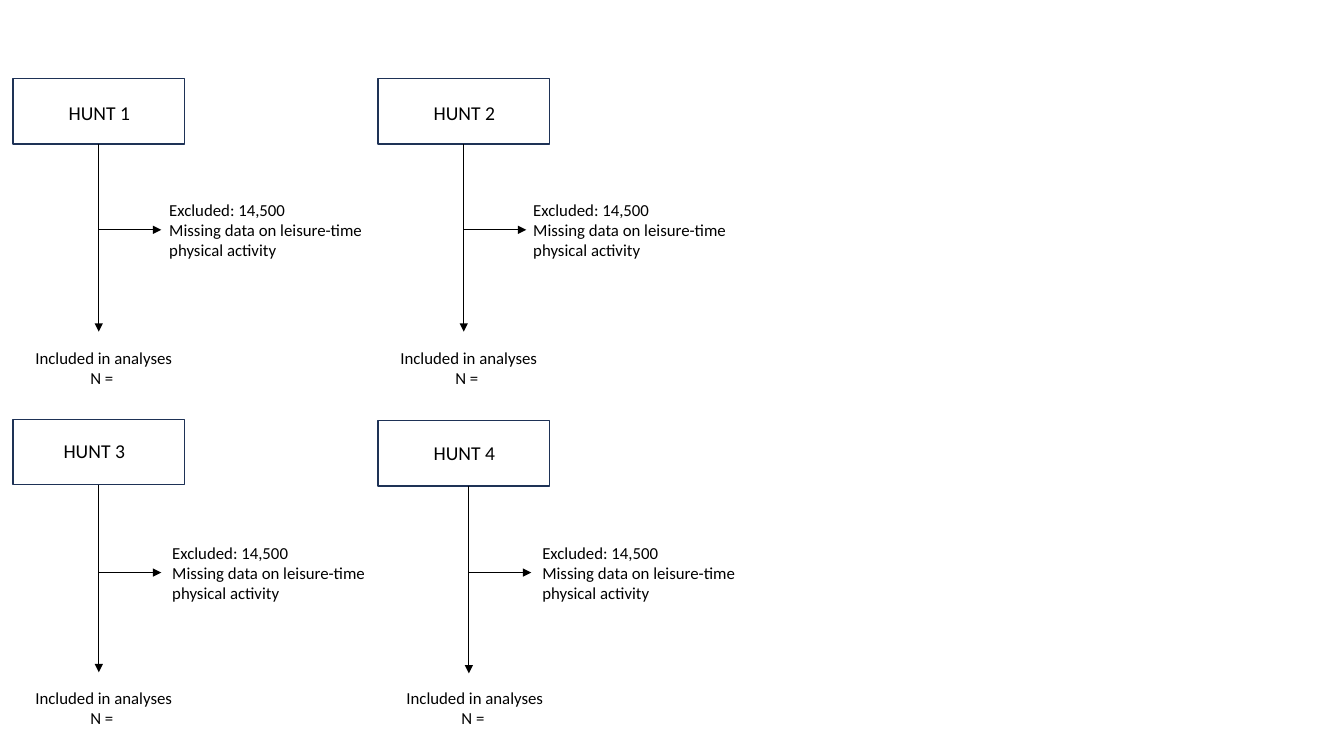
from dataclasses import dataclass

from lxml import etree
from pptx import Presentation
from pptx.dml.color import RGBColor
from pptx.enum.shapes import MSO_CONNECTOR, MSO_SHAPE
from pptx.enum.text import MSO_AUTO_SIZE, PP_ALIGN
from pptx.oxml.ns import qn
from pptx.util import Inches, Pt

RECTANGLE = MSO_SHAPE.RECTANGLE
STRAIGHT = MSO_CONNECTOR.STRAIGHT
LEFT, CENTER = PP_ALIGN.LEFT, PP_ALIGN.CENTER
GROW = MSO_AUTO_SIZE.SHAPE_TO_FIT_TEXT
BOTTOM_SITE = 2
BLANK_LAYOUT = 6

BOX_WIDTH, BOX_HEIGHT = 1.7, 0.65
STEM_LENGTH, BRANCH_LENGTH = 1.86, 0.62
EXCLUDED = [["Excluded: 14,500", "Missing data on leisure-time", "physical activity"]]
INCLUDED = [["Included in analyses"], ["N = "]]


@dataclass(frozen=True)
class Theme:
    """Colours, font and type sizes of the flow chart."""
    font: str = "Calibri"
    ink: RGBColor = RGBColor(0x00, 0x00, 0x00)
    outline: RGBColor = RGBColor(0x1E, 0x32, 0x56)
    heading: int = 14
    body: int = 12
    box_line: float = 1
    arrow_line: float = 0.5


@dataclass(frozen=True)
class Survey:
    """Wording and placement of one survey's flow."""
    name: str
    box: tuple
    label: tuple
    stem_x: float
    branch_y: float
    excluded: tuple
    included: tuple


SURVEYS = [
    Survey("HUNT 1", (0.13, 0.78), (-0.14, 0.95), 0.98, 2.28, (1.58, 1.93), (0.13, 3.4)),
    Survey("HUNT 2", (3.75, 0.78), (3.48, 0.95), 4.6, 2.28, (5.19, 1.93), (3.75, 3.4)),
    Survey("HUNT 3", (0.13, 4.16), (-0.19, 4.31), 0.98, 5.68, (1.61, 5.33), (0.13, 6.77)),
    Survey("HUNT 4", (3.75, 4.17), (3.48, 4.33), 4.65, 5.68, (5.28, 5.33), (3.81, 6.77)),
]


class FlowPage:
    """Draws flow chart elements on one page in one theme."""

    def __init__(self, page, theme):
        self.page = page
        self.theme = theme

    def box(self, left, top):
        """Add an outlined, unfilled rectangle."""
        box = self.page.shapes.add_shape(
            RECTANGLE, Inches(left), Inches(top), Inches(BOX_WIDTH), Inches(BOX_HEIGHT))
        box.shadow.inherit = False
        box.fill.background()
        box.line.color.rgb = self.theme.outline
        box.line.width = Pt(self.theme.box_line)
        return box

    def text(self, position, size, paragraphs, points, align):
        """Add a text box from paragraphs, each a list of lines."""
        left, top = position
        width, height = size
        box = self.page.shapes.add_textbox(
            Inches(left), Inches(top), Inches(width), Inches(height))
        frame = box.text_frame
        frame.word_wrap = True
        frame.auto_size = GROW
        for number, lines in enumerate(paragraphs):
            para = frame.add_paragraph() if number else frame.paragraphs[0]
            para.alignment = align
            for row, line in enumerate(lines):
                if row:
                    para.add_line_break()
                span = para.add_run()
                span.text = line
                span.font.name = self.theme.font
                span.font.size = Pt(points)
                span.font.color.rgb = self.theme.ink

    def arrow(self, start, end):
        """Add a thin straight arrow."""
        arrow = self.page.shapes.add_connector(
            STRAIGHT, *(Inches(value) for value in (*start, *end)))
        arrow.line.color.rgb = self.theme.ink
        arrow.line.width = Pt(self.theme.arrow_line)
        properties = arrow.element.spPr
        line = properties.find(qn("a:ln"))
        etree.SubElement(line, qn("a:tailEnd"), type="triangle")
        etree.SubElement(properties, qn("a:effectLst"))
        return arrow

    def survey(self, survey):
        """Add the whole flow of one survey."""
        left, top = survey.box
        stem_top = top + BOX_HEIGHT
        box = self.box(left, top)
        self.text(survey.label, (2.25, 0.34), [[survey.name]], self.theme.heading, CENTER)
        stem = self.arrow((survey.stem_x, stem_top), (survey.stem_x, stem_top + STEM_LENGTH))
        if abs(survey.stem_x - left - BOX_WIDTH / 2) < 0.01:
            stem.begin_connect(box, BOTTOM_SITE)
        self.arrow((survey.stem_x, survey.branch_y),
                   (survey.stem_x + BRANCH_LENGTH, survey.branch_y))
        self.text(survey.excluded, (2.35, 0.71), EXCLUDED, self.theme.body, LEFT)
        self.text(survey.included, (1.8, 0.5), INCLUDED, self.theme.body, CENTER)


def main():
    """Build and save the deck."""
    deck = Presentation()
    deck.slide_width, deck.slide_height = Inches(13.33), Inches(7.5)
    page = deck.slides.add_slide(deck.slide_layouts[BLANK_LAYOUT])
    flow = FlowPage(page, Theme())
    for survey in SURVEYS:
        flow.survey(survey)
    deck.save("out.pptx")


if __name__ == "__main__":
    main()
